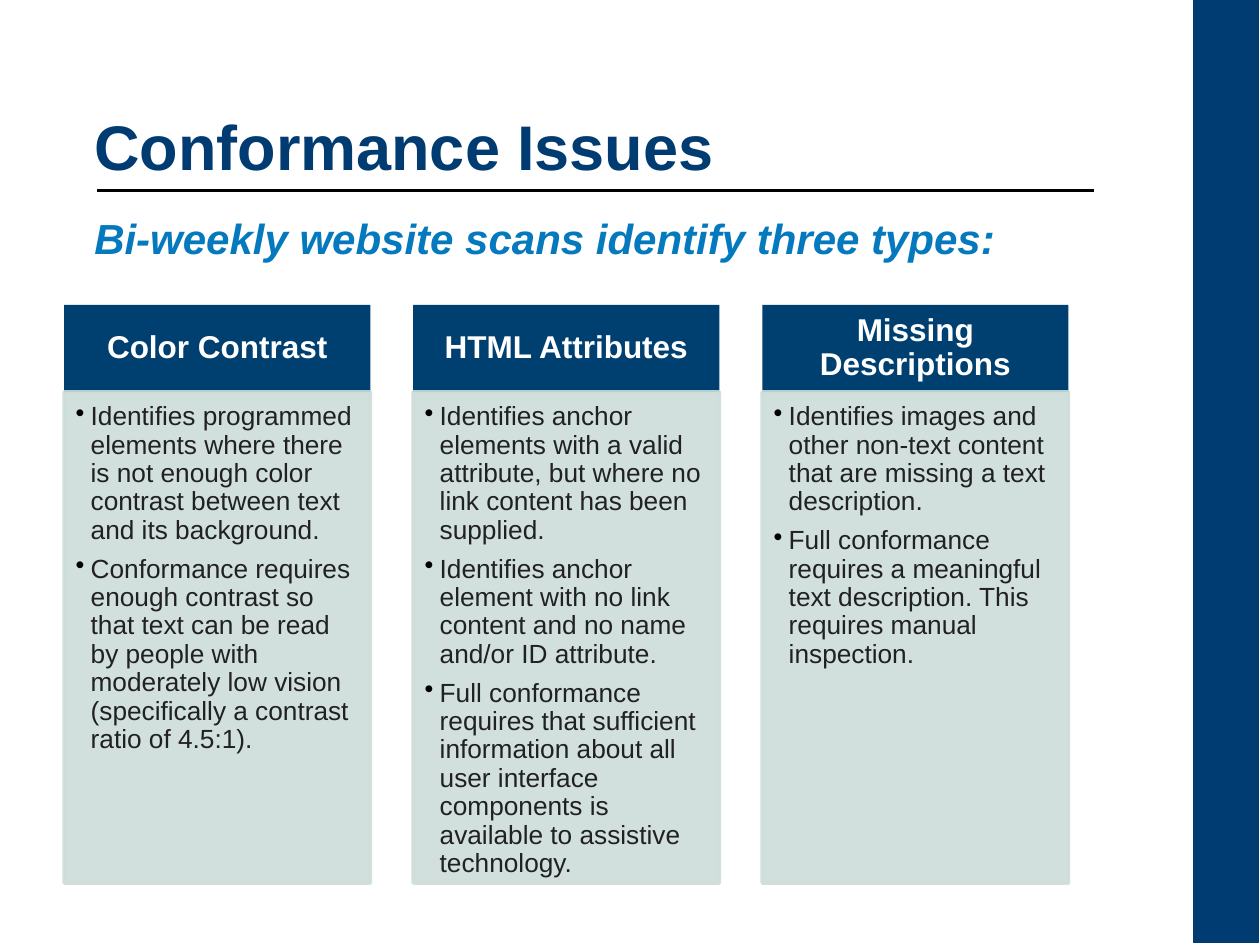
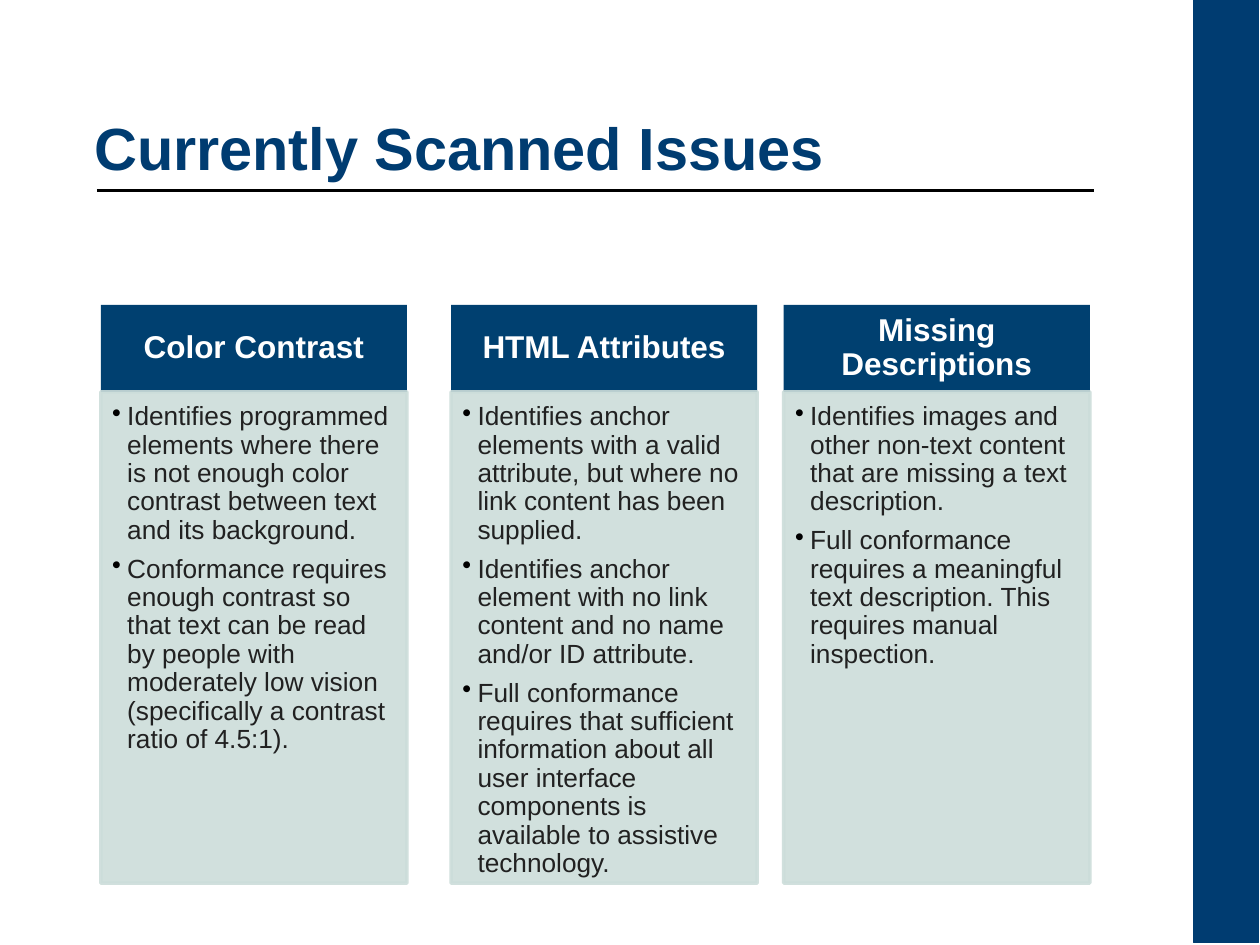
import pptx
import pptx.util
from pptx.dml.color import RGBColor
from pptx.enum.shapes import MSO_CONNECTOR, MSO_SHAPE
from pptx.enum.text import MSO_ANCHOR, PP_ALIGN
from pptx.oxml.ns import qn
from pptx.util import Inches
from lxml import etree

NAVY = RGBColor(0x00, 0x3C, 0x71)
HEADER_BLUE = RGBColor(0x00, 0x40, 0x70)
SKY = RGBColor(0x05, 0x79, 0xBD)
SAGE = RGBColor(0xCC, 0xDD, 0xDA)
CHARCOAL = RGBColor(0x21, 0x21, 0x21)
BLACK = RGBColor(0, 0, 0)
WHITE = RGBColor(0xFF, 0xFF, 0xFF)

FONT = "Arial"
TITLE = {"bold": True, "color": NAVY}
SUBTITLE = {"size": 24, "bold": True, "italic": True, "color": SKY}
HEADING = {"size": 18, "bold": True, "color": WHITE}
FINDING = {"size": 15, "color": CHARCOAL}

CARD_WIDTH = 2.43
HEADING_TOP, HEADING_HEIGHT = 2.42, 0.69
BODY_HEIGHT = 3.9
BULLET_INDENT = 0.12

ISSUES = [
    ("Color Contrast", [
        "Identifies programmed elements where there is not enough color "
        "contrast between text and its background.",
        "Conformance requires enough contrast so that text can be read by "
        "people with moderately low vision (specifically a contrast ratio "
        "of 4.5:1).",
    ]),
    ("HTML Attributes", [
        "Identifies anchor elements with a valid attribute, but where no "
        "link content has been supplied.",
        "Identifies anchor element with no link content and no name and/or "
        "ID attribute.",
        "Full conformance requires that sufficient information about all "
        "user interface components is available to assistive technology.",
    ]),
    ("Missing Descriptions", [
        "Identifies images and other non-text content that are missing a "
        "text description.",
        "Full conformance requires a meaningful text description. This "
        "requires manual inspection.",
    ]),
]


def write(paragraph, text, style, **layout):
    """Add one run in the given style; layout sets paragraph attributes."""
    for name, value in layout.items():
        setattr(paragraph, name, value)
    run = paragraph.add_run()
    run.text = text
    run.font.name = FONT
    for name, value in style.items():
        if name == "color":
            run.font.color.rgb = value
        else:
            setattr(run.font, name, pptx.util.Pt(value) if name == "size" else value)


def set_frame(shape, insets, anchor=MSO_ANCHOR.TOP):
    frame = shape.text_frame
    frame.word_wrap = True
    frame.vertical_anchor = anchor
    for side, inset in zip(("left", "top", "right", "bottom"), insets):
        setattr(frame, f"margin_{side}", Inches(inset))
    return frame


def add_text(slide, left, top, width, height, text, style, anchor, **layout):
    box = slide.shapes.add_textbox(*map(Inches, (left, top, width, height)))
    frame = set_frame(box, (0.1, 0.1, 0.1, 0.1), anchor)
    write(frame.paragraphs[0], text, style, **layout)


def add_panel(slide, left, top, width, height, fill, line_width=0):
    panel = slide.shapes.add_shape(
        MSO_SHAPE.RECTANGLE, *map(Inches, (left, top, width, height)))
    panel.shadow.inherit = False
    panel.fill.solid()
    panel.fill.fore_color.rgb = fill
    if line_width:
        panel.line.color.rgb = fill
        panel.line.width = pptx.util.Pt(line_width)
    else:
        panel.line.fill.background()
    return panel


def set_opacity(shape, percent):
    for color in shape._element.spPr.iter(qn("a:srgbClr")):
        etree.SubElement(color, qn("a:alpha"), val=str(percent * 1000))


def add_bullet(paragraph):
    properties = paragraph._p.get_or_add_pPr()
    properties.set("marL", str(Inches(BULLET_INDENT)))
    properties.set("indent", str(-Inches(BULLET_INDENT)))
    bullet_color = etree.SubElement(properties, qn("a:buClr"))
    etree.SubElement(bullet_color, qn("a:srgbClr"), val=str(BLACK))
    etree.SubElement(properties, qn("a:buChar"), char="•")


def add_issue_card(slide, left, heading, findings):
    header = add_panel(slide, left, HEADING_TOP, CARD_WIDTH, HEADING_HEIGHT, HEADER_BLUE)
    frame = set_frame(header, (0.14, 0.08, 0.14, 0.08), MSO_ANCHOR.MIDDLE)
    write(frame.paragraphs[0], heading, HEADING,
          alignment=PP_ALIGN.CENTER, line_spacing=0.9)

    body = add_panel(slide, left, HEADING_TOP + HEADING_HEIGHT,
                     CARD_WIDTH, BODY_HEIGHT, SAGE, line_width=2)
    set_opacity(body, 90)
    frame = set_frame(body, (0.09, 0.09, 0.12, 0.13))
    for index, finding in enumerate(findings):
        paragraph = frame.add_paragraph() if index else frame.paragraphs[0]
        add_bullet(paragraph)
        write(paragraph, finding, FINDING, alignment=PP_ALIGN.LEFT,
              line_spacing=0.9, space_after=pptx.util.Pt(6))


def add_title_rule(slide):
    rule = slide.shapes.add_connector(
        MSO_CONNECTOR.STRAIGHT, *map(Inches, (0.77, 1.51, 8.68, 1.51)))
    rule.line.color.rgb = BLACK
    rule.line.width = pptx.util.Pt(1.5)
    etree.SubElement(rule._element.spPr, qn("a:effectLst"))


def add_issue_slide(deck, title, title_size, card_lefts, subtitle=None):
    slide = deck.slides.add_slide(deck.slide_layouts[6])
    add_panel(slide, 9.47, 0, 0.52, 7.48, NAVY, line_width=0.75)
    add_title_rule(slide)
    add_text(slide, 0.65, 0.27, 8.03, 1.28, title,
             {**TITLE, "size": title_size}, MSO_ANCHOR.BOTTOM)
    if subtitle:
        add_text(slide, 0.65, 1.53, 8.03, 0.57, subtitle, SUBTITLE,
                 MSO_ANCHOR.TOP, line_spacing=1.15)
    for left, (heading, findings) in zip(card_lefts, ISSUES):
        add_issue_card(slide, left, heading, findings)


def main():
    deck = pptx.Presentation()
    deck.slide_width, deck.slide_height = Inches(10), Inches(7.5)
    add_issue_slide(deck, "Conformance Issues", 36, (0.51, 3.28, 6.05),
                    "Bi-weekly website scans identify three types:")
    add_issue_slide(deck, "Currently Scanned Issues", 34, (0.8, 3.58, 6.22))
    deck.save("out.pptx")


if __name__ == "__main__":
    main()
